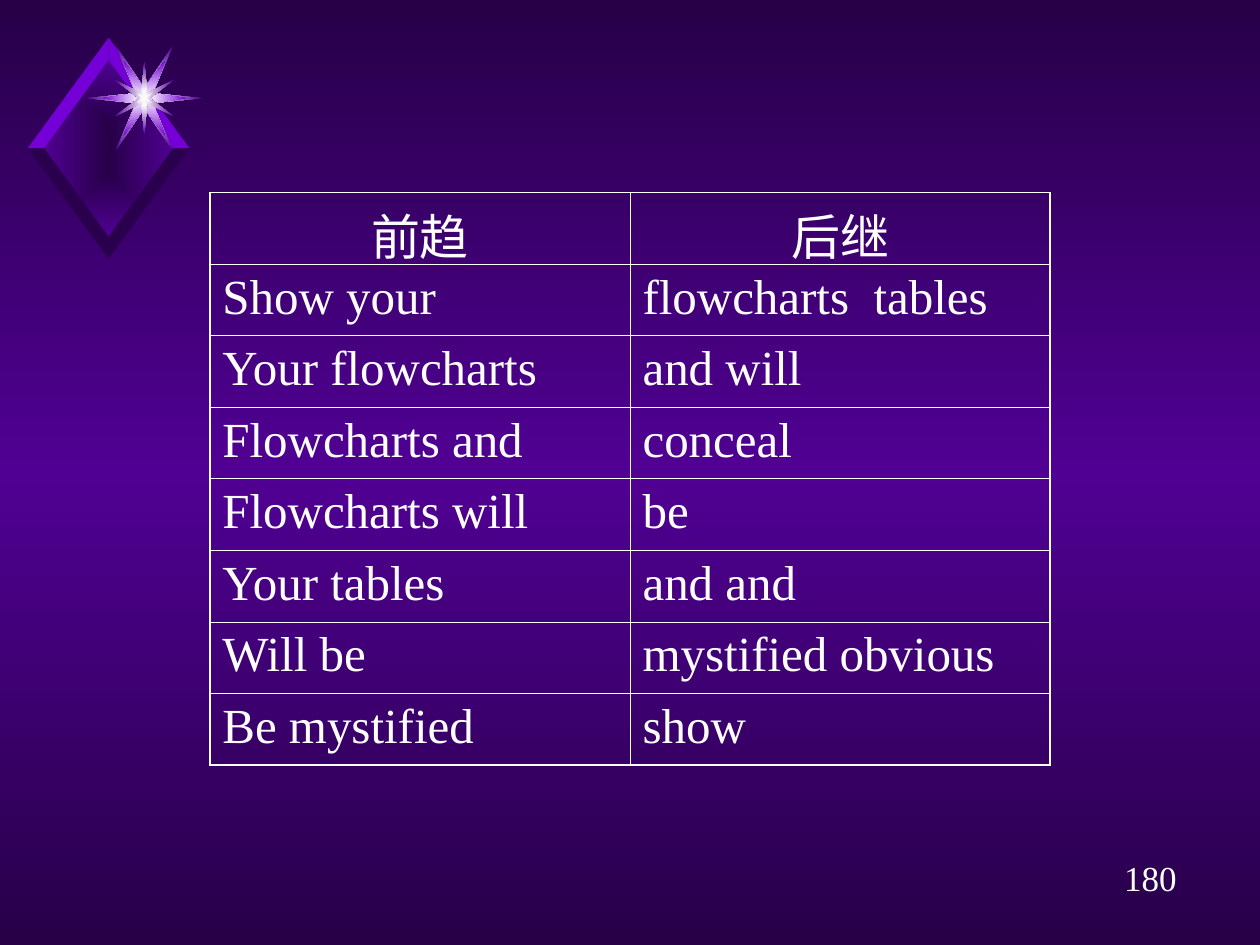
from lxml import etree
from pptx import Presentation
from pptx.dml.color import RGBColor
from pptx.enum.text import MSO_AUTO_SIZE, PP_ALIGN
from pptx.oxml.ns import qn
from pptx.util import Cm, Pt

CENTER, LEFT = PP_ALIGN.CENTER, PP_ALIGN.LEFT
GROW = MSO_AUTO_SIZE.SHAPE_TO_FIT_TEXT

COLORS = {
    "night": "270048",
    "shade": "2A004E",
    "violet": "500093",
    "bright": "7500D7",
    "glow": "FEFEFE",
    "core": "F9F9F9",
    "white": "FFFFFF",
}
FONT = "Times New Roman"
THIN, THICK = Pt(0.45), Pt(1.08)

ROWS = [
    ("前趋", "后继"),
    ("Show your", "flowcharts  tables"),
    ("Your flowcharts", "and will"),
    ("Flowcharts and", "conceal"),
    ("Flowcharts will", "be"),
    ("Your tables", "and and"),
    ("Will be", "mystified obvious"),
    ("Be mystified", "show"),
]

# Quarter outlines in cm from the star's centre: top axis round to right axis
STARS = [
    ([(0, 0.2), (0.57, 1.05), (0.17, 0.1), (1.16, 0)], ["glow", "violet"]),
    ([(0, 0.2), (0.42, 0.76), (0.17, 0.1), (0.85, 0)], ["glow", "bright"]),
    ([(0, 0.74), (0.06, 0.1), (0.6, 0.37), (0.11, 0)], ["glow", "violet"]),
    ([(0, 0.18), (0.03, 0.05), (0.15, 0.1), (0.05, 0)], ["core"]),
]


def rgb(name):
    return RGBColor.from_string(COLORS[name])


def set_gradient(fill, owner, names, from_center=False):
    """Spread the named colours evenly, downwards or out from the centre."""
    fill.gradient()
    gradient = next(owner.iter(qn("a:gradFill")))
    for child in list(gradient):
        gradient.remove(child)
    stops = etree.SubElement(gradient, qn("a:gsLst"))
    for index, name in enumerate(names):
        position = str(100000 * index // (len(names) - 1))
        stop = etree.SubElement(stops, qn("a:gs"), pos=position)
        etree.SubElement(stop, qn("a:srgbClr"), val=COLORS[name])
    if from_center:
        shading = etree.SubElement(gradient, qn("a:path"), path="rect")
        sides = {side: "50000" for side in "ltrb"}
        etree.SubElement(shading, qn("a:fillToRect"), **sides)
    else:
        etree.SubElement(gradient, qn("a:lin"), ang="5400000", scaled="0")


def add_outline(shapes, center, points, names):
    """Draw a closed outline from cm offsets around a centre."""
    corners = [(Cm(center[0] + x), Cm(center[1] + y)) for x, y in points]
    builder = shapes.build_freeform(*corners[0])
    builder.add_line_segments(corners[1:], close=True)
    shape = builder.convert_to_shape()
    shape.shadow.inherit = False
    shape.line.fill.background()
    if len(names) == 1:
        shape.fill.solid()
        shape.fill.fore_color.rgb = rgb(names[0])
    else:
        set_gradient(shape.fill, shape._element, names, from_center=True)


def star_points(quarter):
    """Mirror a quarter outline into the whole star."""
    half = [(x, -y) for x, y in quarter] + quarter[-2::-1]
    return half + [(-x, y) for x, y in half[-2:0:-1]]


def add_emblem(slide, left, top):
    shapes = slide.shapes.add_group_shape().shapes

    # Diamond with four bevelled edges, lit from above
    center = (left + 1.63, top + 2.23)
    diamond = [(0, -1.8), (-1.32, 0), (0, 1.8), (1.32, 0)]
    add_outline(shapes, center, diamond, ["night", "violet"])
    for vertical, name in ((-1, "bright"), (1, "shade")):
        for side in (1, -1):
            edge = [(0, 1.78 * vertical), (0, 2.23 * vertical),
                    (1.63 * side, 0), (1.3 * side, 0)]
            add_outline(shapes, center, edge, [name])

    # Layered sparkle
    for quarter, names in STARS:
        add_outline(shapes, (left + 2.35, top + 1.22),
                    star_points(quarter), names)


def write_text(frame, text, size, space_before, alignment):
    paragraph = frame.paragraphs[0]
    layout = {"alignment": alignment, "space_before": Pt(space_before)}
    for name, value in layout.items():
        setattr(paragraph, name, value)
    run = paragraph.add_run()
    run.text = text
    for name, value in {"name": FONT, "size": Pt(size)}.items():
        setattr(run.font, name, value)
    run.font.color.rgb = rgb("white")


def set_borders(cell, widths):
    properties = cell._tc.get_or_add_tcPr()
    for index, (side, width) in enumerate(widths.items()):
        line = etree.Element(qn(f"a:ln{side}"), w=str(width))
        solid = etree.SubElement(line, qn("a:solidFill"))
        etree.SubElement(solid, qn("a:srgbClr"), val=COLORS["white"])
        properties.insert(index, line)


def add_word_table(slide, left, top, width, height):
    row_count, column_count = len(ROWS), len(ROWS[0])
    table = slide.shapes.add_table(
        row_count, column_count, Cm(left), Cm(top), Cm(width), Cm(height)
    ).table
    for name in ("first_row", "horz_banding"):
        setattr(table, name, False)
    for r, words in enumerate(ROWS):
        for c, word in enumerate(words):
            cell = table.cell(r, c)
            cell.fill.background()
            write_text(cell.text_frame, word, 28, 7, LEFT if r else CENTER)
            # Thick frame outside, thin rules inside
            set_borders(cell, {
                "L": THICK if c == 0 else THIN,
                "R": THICK if c == column_count - 1 else THIN,
                "T": THICK if r == 0 else THIN,
                "B": THICK if r == row_count - 1 else THIN,
            })


def add_page_number(slide, left, top, width, height):
    box = slide.shapes.add_textbox(Cm(left), Cm(top), Cm(width), Cm(height))
    for name, value in {"word_wrap": True, "auto_size": GROW}.items():
        setattr(box.text_frame, name, value)
    write_text(box.text_frame, "180", 20, 12.5, CENTER)


def main():
    presentation = Presentation()
    presentation.slide_width, presentation.slide_height = Cm(25.4), Cm(19.05)
    slide = presentation.slides.add_slide(presentation.slide_layouts[6])
    set_gradient(slide.background.fill, slide._element,
                 ["night", "violet", "night"])
    add_emblem(slide, 0.56, 0.76)
    add_page_number(slide, 22.02, 17.15, 2.34, 1.12)
    add_word_table(slide, 4.23, 3.88, 16.94, 11.55)
    presentation.save("out.pptx")


if __name__ == "__main__":
    main()
